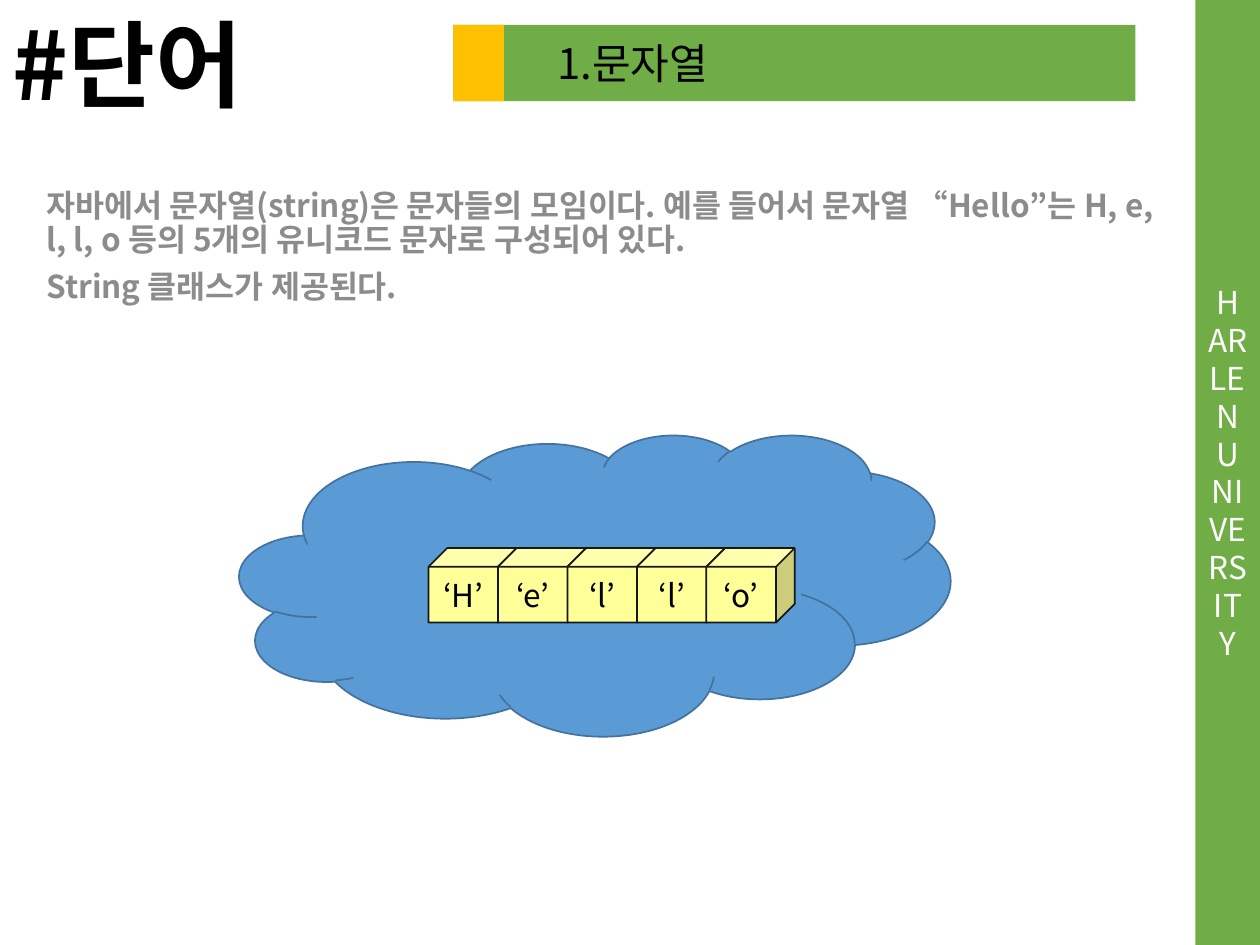
from pptx import Presentation
from pptx.dml.color import RGBColor
from pptx.enum.shapes import MSO_SHAPE as SHAPE
from pptx.enum.text import MSO_ANCHOR as ANCHOR, PP_ALIGN as ALIGN
from pptx.oxml.ns import qn
from pptx.util import Cm, Pt
from lxml.etree import SubElement

FONT = "Noto Sans CJK KR"
COLORS = {
    "green": "70AD47", "amber": "FFC000", "blue": "5B9BD5", "navy": "43739E",
    "yellow": "FFFF99", "ink": "181717", "black": "000000", "gray": "8C8C8C",
    "white": "FFFFFF",
}

TITLE = "#단어"
SECTION = "1.문자열"
SIDE_NAME = "HARLEN UNIVERSITY"
BODY = [
    "자바에서 문자열(string)은 문자들의 모임이다. 예를 들어서 문자열 “Hello”는 "
    "H, e, l, l, o 등의 5개의 유니코드 문자로 구성되어 있다.",
    "String 클래스가 제공된다.",
]
WORD = "Hello"

# left, top, width, height in cm
SIDE_BAR = (24.1, 0, 1.3, 19.05)
HEADER_BAR = (9.14, 0.5, 13.75, 1.54)
HEADER_MARK = (9.14, 0.5, 1.02, 1.54)
TITLE_BOX = (0, 0, 9.14, 2.57)
SECTION_BOX = (9.93, 0.64, 12.83, 1.27)
BODY_BOX = (0.69, 3.71, 22.86, 12.57)
CLOUD = (4.83, 8.76, 14.33, 6.07)
FIRST_CUBE = (8.64, 11.05, 1.78, 1.5)
CUBE_STEP = 1.4


def rgb(name):
    """Return the palette colour called name."""
    return RGBColor.from_string(COLORS[name])


def add_block(slide, kind, box, fill, line=None):
    """Add a flat preset shape, outlined only if a line colour is given."""
    sp = slide.shapes.add_shape(kind, *map(Cm, box))
    sp.shadow.inherit = False
    sp.fill.solid()
    sp.fill.fore_color.rgb = rgb(fill)
    if line:
        sp.line.color.rgb = rgb(line)
        sp.line.width = Pt(1)
    else:
        sp.line.fill.background()
    return sp


def add_text_box(slide, box):
    """Add an empty wrapping text box."""
    sp = slide.shapes.add_textbox(*map(Cm, box))
    sp.text_frame.word_wrap = True
    return sp


def write(p, text, size, color, bold=False, align=ALIGN.LEFT):
    """Add one formatted run to a paragraph."""
    p.alignment = align
    r = p.add_run()
    r.text = text
    r.font.size = Pt(size)
    r.font.bold = bold
    r.font.name = FONT
    r.font.color.rgb = rgb(color)
    SubElement(r.font._element, qn("a:ea"), typeface=FONT)


def add_title(slide):
    """Place and fill the title placeholder."""
    sp = slide.shapes.title
    sp.left, sp.top, sp.width, sp.height = map(Cm, TITLE_BOX)
    tf = sp.text_frame
    tf.vertical_anchor = ANCHOR.TOP
    write(tf.paragraphs[0], TITLE, 54, "black", bold=True)


def add_side_bar(slide):
    """Add the side bar with its stacked name."""
    tf = add_block(slide, SHAPE.RECTANGLE, SIDE_BAR, "green").text_frame
    tf.vertical_anchor = ANCHOR.MIDDLE
    tf._txBody.bodyPr.set("vert", "wordArtVertRtl")
    write(tf.paragraphs[0], SIDE_NAME, 18, "white", align=ALIGN.CENTER)


def add_header(slide):
    """Add the section bar, its marker and its heading."""
    add_block(slide, SHAPE.RECTANGLE, HEADER_BAR, "green")
    add_block(slide, SHAPE.RECTANGLE, HEADER_MARK, "amber")
    tf = add_text_box(slide, SECTION_BOX).text_frame
    tf.margin_left = Cm(1.3)
    write(tf.paragraphs[0], SECTION, 24, "black")


def add_body(slide):
    """Add the explanatory paragraphs."""
    tf = add_text_box(slide, BODY_BOX).text_frame
    for i, text in enumerate(BODY):
        p = tf.add_paragraph() if i else tf.paragraphs[0]
        p.line_spacing = 0.9
        p.space_before = Pt(7.5)
        write(p, text, 18, "gray", bold=True)


def add_word(slide):
    """Add the cloud and one cube for each letter of the word."""
    add_block(slide, SHAPE.CLOUD, CLOUD, "blue", "navy")
    left, top, width, height = FIRST_CUBE
    for i, letter in enumerate(WORD):
        box = (left + i * CUBE_STEP, top, width, height)
        label = "‘H’" if letter == "H" else f"‘{letter}’"
        tf = add_block(slide, SHAPE.CUBE, box, "yellow", "ink").text_frame
        tf.margin_left = tf.margin_right = tf.margin_top = tf.margin_bottom = 0
        tf.vertical_anchor = ANCHOR.MIDDLE
        write(tf.paragraphs[0], label, 18, "black", align=ALIGN.CENTER)


prs = Presentation()
prs.slide_width, prs.slide_height = Cm(25.4), Cm(19.05)
s = prs.slides.add_slide(prs.slide_layouts[5])
add_side_bar(s)
add_header(s)
add_title(s)
add_body(s)
add_word(s)
prs.save("out.pptx")
